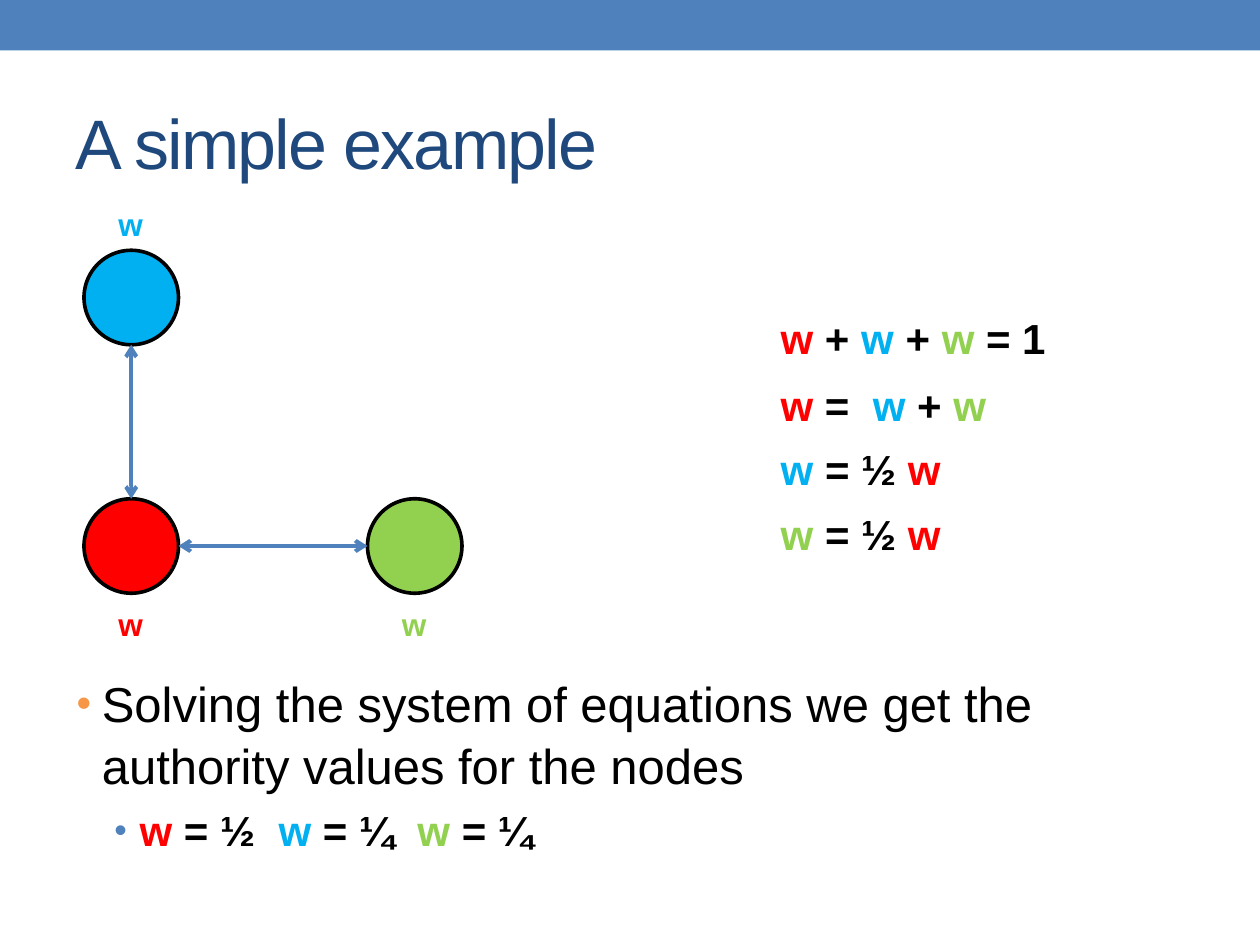
"""Build a slide that solves authority values on a three-node graph."""
from lxml.etree import SubElement
from pptx import Presentation
from pptx.dml.color import RGBColor
from pptx.enum.shapes import MSO_CONNECTOR, MSO_SHAPE
from pptx.enum.text import MSO_ANCHOR, MSO_AUTO_SIZE
from pptx.oxml.ns import qn
from pptx.util import Pt

RED, BLUE, GREEN, BLACK = "FF0000", "00B0F0", "92D050", "000000"
ACCENT, ORANGE, NAVY = "4F81BD", "F79646", "1F497D"
DIAMETER = 54


def color(value):
    """Turn a hex string into a colour."""
    return RGBColor.from_string(value)


class SlideBuilder:
    """Hold the style and the current slide."""

    font = "Arial"

    def __init__(self, presentation):
        """Add a blank slide."""
        self.slide = presentation.slides.add_slide(presentation.slide_layouts[6])

    def shape(self, kind, left, top, width, height, fill, line=None):
        """Add a filled preset shape."""
        shape = self.slide.shapes.add_shape(kind, Pt(left), Pt(top), Pt(width), Pt(height))
        shape.shadow.inherit = False
        shape.fill.solid()
        shape.fill.fore_color.rgb = color(fill)
        if line:
            shape.line.color.rgb = color(line)
            shape.line.width = Pt(2.08)
        else:
            shape.line.fill.background()
        return shape

    def arrow(self, start, end):
        """Add a line with an arrowhead at both ends."""
        connector = self.slide.shapes.add_connector(
            MSO_CONNECTOR.STRAIGHT, *(Pt(value) for value in (*start, *end)))
        connector.line.color.rgb = color(ACCENT)
        connector.line.width = Pt(2.25)
        line = connector.line._get_or_add_ln()
        for end_name in ("a:headEnd", "a:tailEnd"):
            SubElement(line, qn(end_name), type="arrow")
        SubElement(connector._element.spPr, qn("a:effectLst"))

    def text_box(self, left, top, width, height, wrap=True):
        """Add a text box and return its text frame."""
        box = self.slide.shapes.add_textbox(Pt(left), Pt(top), Pt(width), Pt(height))
        frame = box.text_frame
        frame.word_wrap = wrap
        frame.auto_size = MSO_AUTO_SIZE.NONE if wrap else MSO_AUTO_SIZE.SHAPE_TO_FIT_TEXT
        return frame

    def runs(self, paragraph, pieces, size, bold=True):
        """Add coloured runs to a paragraph."""
        for text, value in pieces:
            run = paragraph.add_run()
            run.text = text
            run.font.name = self.font
            run.font.size = Pt(size)
            run.font.bold = bold
            run.font.color.rgb = color(value)

    def title(self, text):
        """Add the slide title."""
        frame = self.text_box(36, 41.75, 648, 77.75)
        frame.vertical_anchor = MSO_ANCHOR.MIDDLE
        paragraph = frame.paragraphs[0]
        self.runs(paragraph, [(text, NAVY)], 40, bold=False)
        paragraph.runs[0].font._element.set("spc", "-100")

    def line_of_text(self, left, top, width, height, pieces, size):
        """Add one unwrapped line of bold text."""
        frame = self.text_box(left, top, width, height, wrap=False)
        self.runs(frame.paragraphs[0], pieces, size)

    def bullet(self, paragraph, level, indent, bullet_color, pieces, size, bold):
        """Fill a paragraph that has a coloured bullet."""
        paragraph.level = level
        paragraph.line_spacing = 1.05
        paragraph.space_before = Pt(size * 0.2)
        properties = paragraph._p.get_or_add_pPr()
        properties.set("marL", str(Pt(indent)))
        properties.set("indent", str(-Pt(14.4)))
        fill = SubElement(properties, qn("a:buClr"))
        SubElement(fill, qn("a:srgbClr"), val=bullet_color)
        SubElement(properties, qn("a:buSzPct"), val="85000")
        SubElement(properties, qn("a:buFont"), typeface=self.font)
        SubElement(properties, qn("a:buChar"), char="•")
        self.runs(paragraph, pieces, size, bold)


def main():
    """Build and save the slide."""
    presentation = Presentation()
    presentation.slide_width, presentation.slide_height = Pt(720), Pt(540)
    builder = SlideBuilder(presentation)
    builder.shape(MSO_SHAPE.RECTANGLE, 0, 0, 720, 28.8, ACCENT)
    builder.title("A simple example")

    body = builder.text_box(36.7, 379.5, 647.3, 140.4)
    builder.bullet(body.paragraphs[0], 0, 14.4, ORANGE, [
        ("Solving the system of equations we get the authority values for the nodes", BLACK),
    ], 28, False)
    builder.bullet(body.add_paragraph(), 1, 36, ACCENT, [
        ("w ", RED), ("= ½  ", BLACK), ("w", BLUE), (" = ¼  ", BLACK),
        ("w ", GREEN), ("= ¼", BLACK),
    ], 24, True)

    left, right, upper, lower = 48, 210, 143, 285
    radius = DIAMETER / 2
    nodes = [(left, lower, RED, 342), (right, lower, GREEN, 342), (left, upper, BLUE, 113.75)]
    for x, y, fill, label_top in nodes:
        builder.shape(MSO_SHAPE.OVAL, x, y, DIAMETER, DIAMETER, fill, BLACK)
        builder.line_of_text(x + radius - 14.4, label_top, 28.8, 28.8, [("w", fill)], 18)
    builder.arrow((left + radius, lower), (left + radius, upper + DIAMETER))
    builder.arrow((left + DIAMETER, lower + radius), (right, lower + radius))

    equations = [
        (175, 173.5, [("w", RED), (" + ", BLACK), ("w", BLUE), (" + ", BLACK),
                      ("w", GREEN), (" = 1", BLACK)]),
        (213.5, 139.7, [("w", RED), (" =  ", BLACK), ("w", BLUE), (" + ", BLACK),
                        ("w", GREEN)]),
        (250, 106.6, [("w ", BLUE), ("= ½ ", BLACK), ("w", RED)]),
        (287, 106.6, [("w ", GREEN), ("= ½ ", BLACK), ("w", RED)]),
    ]
    for top, width, pieces in equations:
        builder.line_of_text(439, top, width, 36, pieces, 24)
    presentation.save("out.pptx")


if __name__ == "__main__":
    main()
